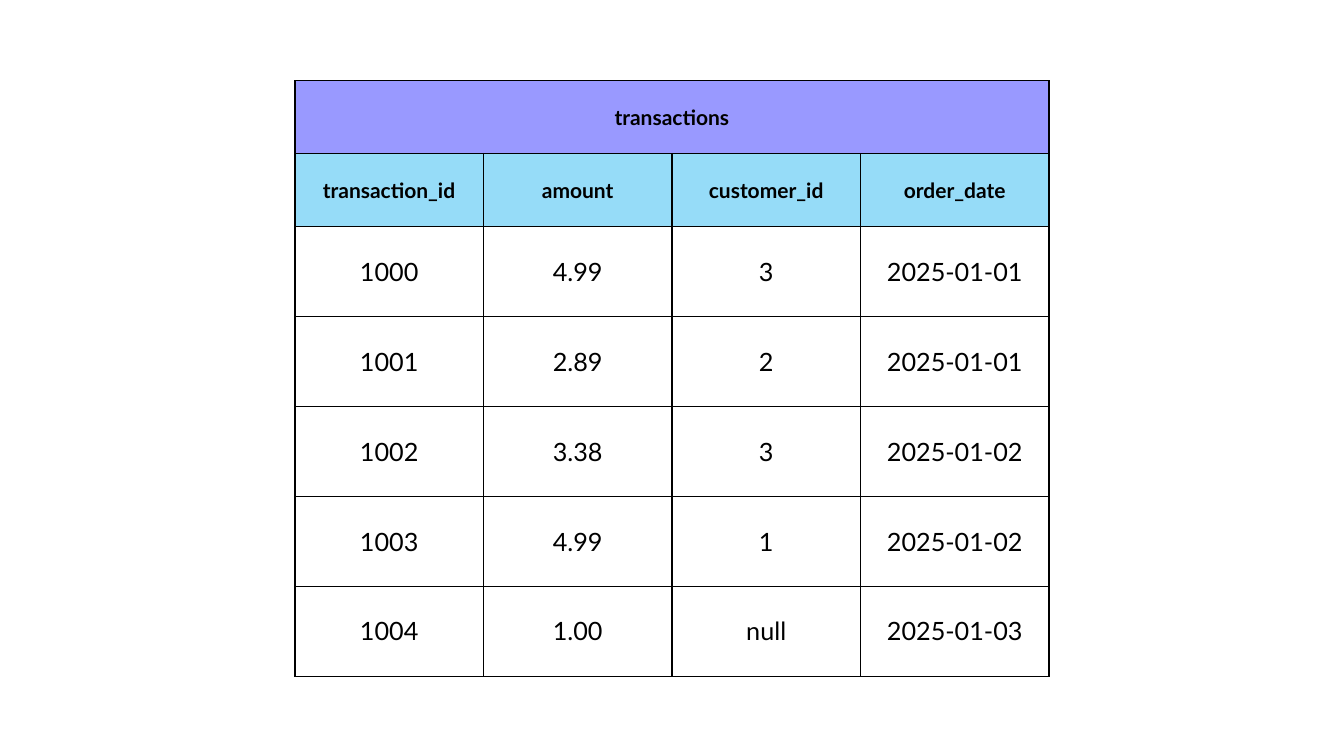
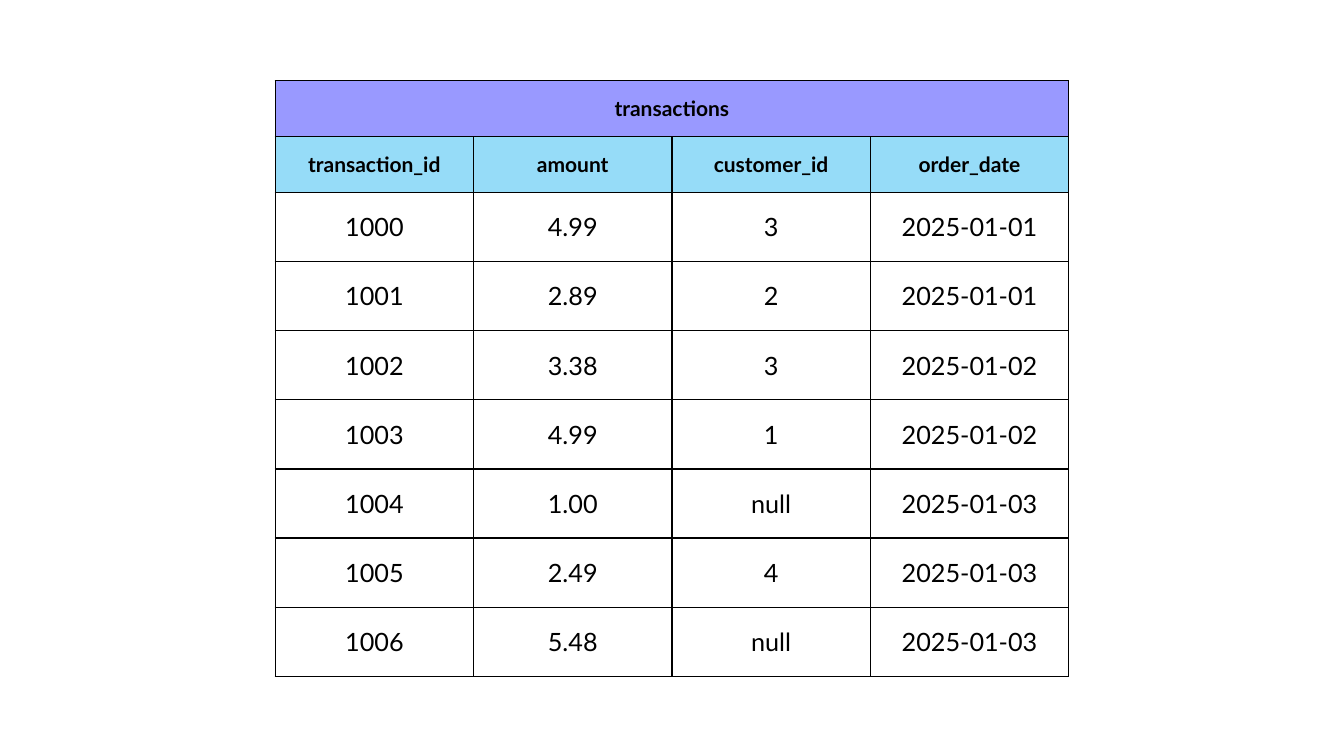
from lxml.etree import SubElement
from pptx import Presentation
from pptx.dml.color import RGBColor
from pptx.enum.text import MSO_ANCHOR as Anchor, PP_ALIGN as Align
from pptx.oxml.ns import qn
from pptx.util import Inches, Pt

COLORS = {"title": "9999FF", "header": "96DCF8", "ink": "000000"}
FONT = "Lato"
SLIDE_WIDTH, SLIDE_HEIGHT = 13.33, 7.5
TABLE_TOP, TABLE_HEIGHT = 0.8, 5.91
HEADING_RATIO = 0.81
HEADING_ROWS = 2

TITLE = "transactions"
COLUMNS = ("transaction_id", "amount", "customer_id", "order_date")
TRANSACTIONS = [
    ("1000", "4.99", "3", "2025-01-01"),
    ("1001", "2.89", "2", "2025-01-01"),
    ("1002", "3.38", "3", "2025-01-02"),
    ("1003", "4.99", "1", "2025-01-02"),
    ("1004", "1.00", "null", "2025-01-03"),
    ("1005", "2.49", "4", "2025-01-03"),
    ("1006", "5.48", "null", "2025-01-03"),
]


def add_borders(cell):
    """Draw a thin line on all four sides of a cell."""
    properties = cell._tc.get_or_add_tcPr()
    for side in ("a:lnL", "a:lnR", "a:lnT", "a:lnB"):
        border = SubElement(properties, qn(side), w=str(Pt(1)))
        ink = SubElement(border, qn("a:solidFill"))
        SubElement(ink, qn("a:srgbClr"), val=COLORS["ink"])


def format_cell(cell, text, size, bold, fill):
    """Write centred text in a bordered cell, with an optional fill colour."""
    add_borders(cell)
    if fill:
        cell.fill.solid()
        cell.fill.fore_color.rgb = RGBColor.from_string(fill)
    else:
        cell.fill.background()
    cell.vertical_anchor = Anchor.MIDDLE
    cell.text_frame.text = text
    paragraph = cell.text_frame.paragraphs[0]
    paragraph.alignment = Align.CENTER
    for run in paragraph.runs:
        run.font.name = FONT
        run.font.size = Pt(size)
        run.font.bold = bold
        run.font.color.rgb = RGBColor.from_string(COLORS["ink"])


def add_transactions(slide, records, left, top, width, height):
    """Fill the given box with the titled table of transactions."""
    title_row = (TITLE,) + ("",) * (len(COLUMNS) - 1)
    lines = [title_row, COLUMNS, *records]
    table = slide.shapes.add_table(
        len(lines), len(COLUMNS),
        Inches(left), Inches(top), Inches(width), Inches(height)).table
    table.cell(0, 0).merge(table.cell(0, len(COLUMNS) - 1))

    record_height = height / (len(records) + HEADING_ROWS * HEADING_RATIO)
    fills = (COLORS["title"], COLORS["header"])
    for index, line in enumerate(lines):
        heading = index < HEADING_ROWS
        ratio = HEADING_RATIO if heading else 1
        table.rows[index].height = Inches(record_height * ratio)
        for cell, text in zip(table.rows[index].cells, line):
            format_cell(cell, text, 15 if heading else 18, heading,
                        fills[index] if heading else None)


def add_table_slide(deck, records, width):
    """Add a blank slide with a horizontally centred table."""
    slide = deck.slides.add_slide(deck.slide_layouts[6])
    left = (SLIDE_WIDTH - width) / 2
    add_transactions(slide, records, left, TABLE_TOP, width, TABLE_HEIGHT)


def main():
    """Build and save the deck."""
    deck = Presentation()
    deck.slide_width = Inches(SLIDE_WIDTH)
    deck.slide_height = Inches(SLIDE_HEIGHT)
    add_table_slide(deck, TRANSACTIONS[:5], 7.48)
    add_table_slide(deck, TRANSACTIONS, 7.87)
    deck.save("out.pptx")


if __name__ == "__main__":
    main()
